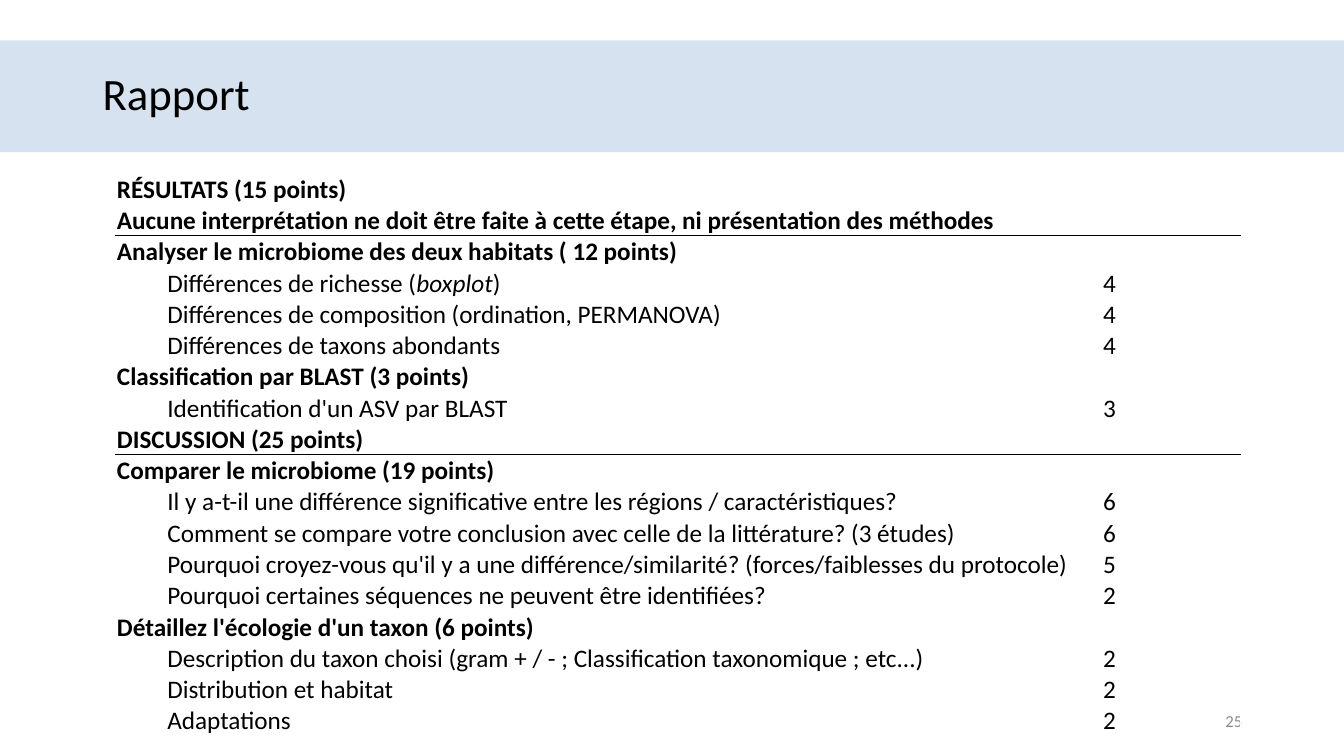
from dataclasses import dataclass

from lxml.etree import SubElement
from pptx import Presentation
from pptx.dml.color import RGBColor
from pptx.enum.shapes import MSO_SHAPE as Shape
from pptx.enum.text import MSO_ANCHOR as Anchor, PP_ALIGN as Align
from pptx.oxml.ns import qn
from pptx.util import Inches, Pt

COLORS = {"band": "AEC7E3", "text": "000000", "page": "8C8C8C",
          "rule": "000000", "grid": "FFFFFF"}
FONT = "Calibri"
LINE_HEIGHT = 0.31


@dataclass
class Criterion:
    text: str
    points: str = ""  # blank for a heading
    ruled: bool = False


CRITERIA = [
    Criterion("RÉSULTATS (15 points)\nAucune interprétation ne doit être faite "
              "à cette étape, ni présentation des méthodes", ruled=True),
    Criterion("Analyser le microbiome des deux habitats ( 12 points)"),
    Criterion("Différences de richesse (*boxplot*)", "4"),
    Criterion("Différences de composition (ordination, PERMANOVA)", "4"),
    Criterion("Différences de taxons abondants", "4"),
    Criterion("Classification par BLAST (3 points)"),
    Criterion("Identification d'un ASV par BLAST", "3"),
    Criterion("DISCUSSION (25 points)", ruled=True),
    Criterion("Comparer le microbiome (19 points)"),
    Criterion("Il y a-t-il une différence significative entre les régions / caractéristiques?", "6"),
    Criterion("Comment se compare votre conclusion avec celle de la littérature? (3 études)", "6"),
    Criterion("Pourquoi croyez-vous qu'il y a une différence/similarité? "
              "(forces/faiblesses du protocole)", "5"),
    Criterion("Pourquoi certaines séquences ne peuvent être identifiées?", "2"),
    Criterion("Détaillez l'écologie d'un taxon (6 points)"),
    Criterion("Description du taxon choisi (gram + / - ; Classification taxonomique ; etc...)", "2"),
    Criterion("Distribution et habitat", "2"),
    Criterion("Adaptations", "2"),
]


def write(frame, text: str, *, size: float = 18, color: str = "text", bold: bool = False,
          align=Align.LEFT, spacing: float = 1.0, indent: float = 0) -> None:
    """Fill a text frame; newlines split paragraphs and asterisks mark italics."""
    frame.word_wrap = True
    for number, line in enumerate(text.split("\n")):
        paragraph = frame.add_paragraph() if number else frame.paragraphs[0]
        paragraph.alignment = align
        paragraph.line_spacing = spacing
        if indent:
            paragraph.level = 1
            properties = paragraph._p.get_or_add_pPr()
            properties.set("marL", str(Inches(indent)))
            properties.set("indent", "0")
        for part, words in enumerate(line.split("*")):
            run = paragraph.add_run()
            run.text = words
            run.font.name = FONT
            run.font.size = Pt(size)
            run.font.bold = bold
            run.font.italic = part % 2 == 1
            run.font.color.rgb = RGBColor.from_string(COLORS[color])


def add_label(slide, box: tuple[float, ...], text: str, **text_format) -> None:
    label = slide.shapes.add_textbox(*map(Inches, box))
    label.text_frame.vertical_anchor = Anchor.MIDDLE
    write(label.text_frame, text, **text_format)


def add_band(slide) -> None:
    band = slide.shapes.add_shape(Shape.RECTANGLE, 0, Inches(0.4), Inches(13.33), Inches(1.11))
    band.shadow.inherit = False
    band.line.fill.background()
    band.fill.solid()
    band.fill.fore_color.rgb = RGBColor.from_string(COLORS["band"])
    tint = band.fill._xPr.find(f"{qn('a:solidFill')}/{qn('a:srgbClr')}")
    SubElement(tint, qn("a:alpha"), val="50000")


def set_borders(cell, *, top: str, bottom: str) -> None:
    properties = cell._tc.get_or_add_tcPr()
    sides = {"lnL": "grid", "lnR": "grid", "lnT": top, "lnB": bottom}
    for side, color in sides.items():
        border = SubElement(properties, qn(f"a:{side}"), w=str(Pt(1)))
        fill = SubElement(border, qn("a:solidFill"))
        SubElement(fill, qn("a:srgbClr"), val=COLORS[color])


def add_grading_table(slide) -> None:
    line_counts = [criterion.text.count("\n") + 1 for criterion in CRITERIA]
    table = slide.shapes.add_table(
        len(CRITERIA), 2, Inches(1.15), Inches(1.72),
        Inches(11.15), Inches(LINE_HEIGHT * sum(line_counts))).table
    table.first_row = table.horz_banding = False
    for column, width in zip(table.columns, (9.78, 1.37)):
        column.width = Inches(width)

    above = "grid"
    for row, (criterion, lines) in enumerate(zip(CRITERIA, line_counts)):
        table.rows[row].height = Inches(LINE_HEIGHT * lines)
        below = "rule" if criterion.ruled else "grid"
        for column, text in enumerate((criterion.text, criterion.points)):
            cell = table.cell(row, column)
            cell.margin_left = cell.margin_right = cell.margin_top = Inches(0.01)
            cell.margin_bottom = 0
            cell.vertical_anchor = Anchor.MIDDLE if lines > 1 else Anchor.BOTTOM
            set_borders(cell, top=above, bottom=below)
            cell.fill.background()
            if text:
                is_item = bool(criterion.points)
                write(cell.text_frame, text, bold=not is_item,
                      indent=0.5 if is_item and column == 0 else 0)
        above = below


def main() -> None:
    deck = Presentation()
    deck.slide_width, deck.slide_height = Inches(13.33), Inches(7.5)
    slide = deck.slides.add_slide(deck.slide_layouts[6])
    add_band(slide)
    add_label(slide, (0.92, 0.4, 11.5, 1.11), "Rapport", size=32, spacing=0.9)
    add_label(slide, (9.42, 6.95, 3, 0.4), "25", size=12, color="page", align=Align.RIGHT)
    add_grading_table(slide)
    deck.save("out.pptx")


if __name__ == "__main__":
    main()
